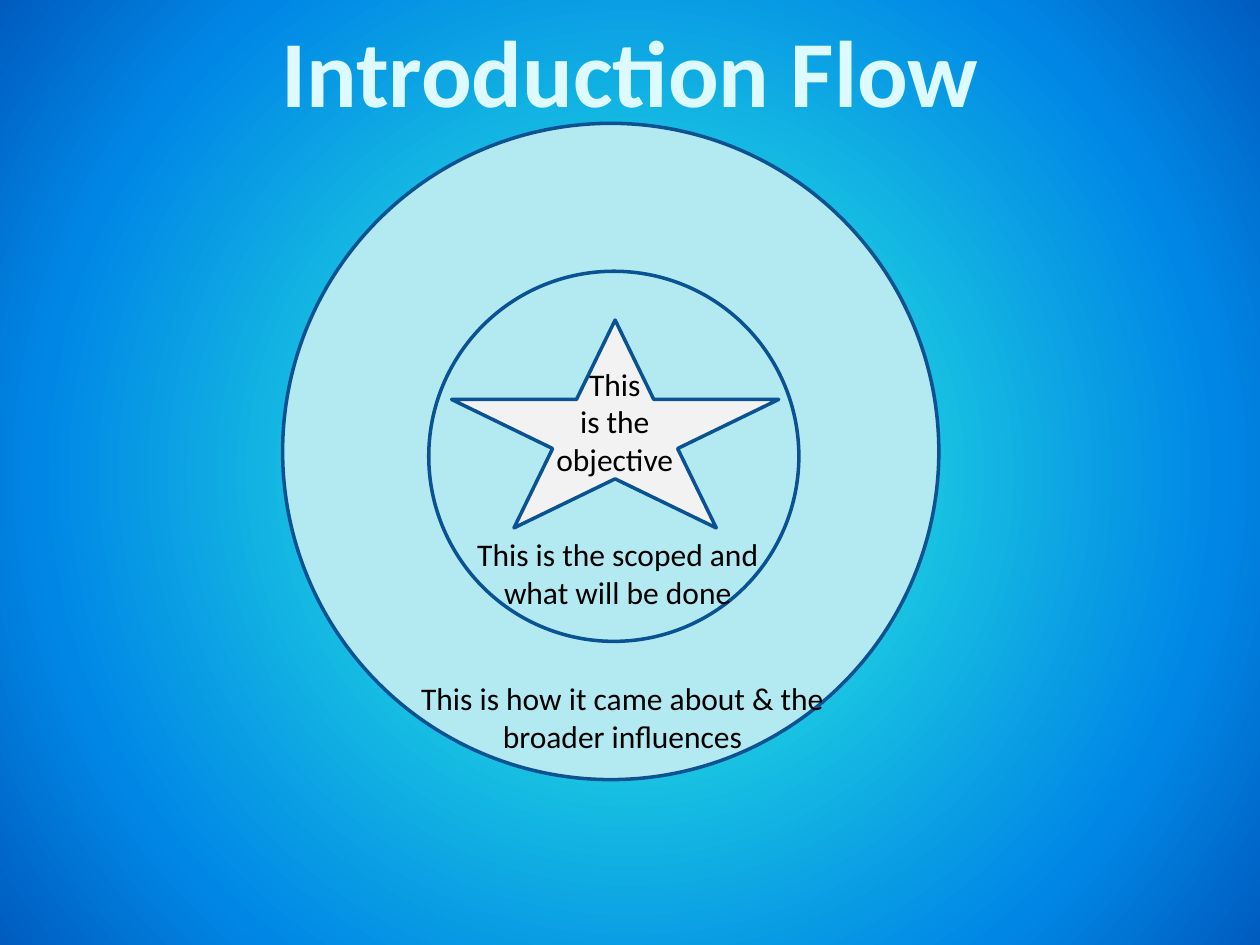
from pptx import Presentation
from pptx.dml.color import RGBColor
from pptx.enum.shapes import MSO_SHAPE
from pptx.enum.text import MSO_ANCHOR, PP_ALIGN
from pptx.oxml import parse_xml
from pptx.oxml.ns import nsdecls, qn
from pptx.util import Pt

theme = {
    "font": "Calibri",
    "title": {"size": 54, "color": "DCFAFF", "bold": True},
    "label": {"size": 18, "color": "000000", "bold": False},
    "ring": "B3EAF2",
    "star": "F2F2F2",
    "line": "0B5292",
    "backdrop": [(0, "03D4A8"), (25, "21D6E0"), (75, "0087E6"), (100, "005CBF")],
}

prs = Presentation()
prs.slide_width, prs.slide_height = Pt(720), Pt(540)
s = prs.slides.add_slide(prs.slide_layouts[5])

s.background.fill.gradient()
grad = s.element.find(".//" + qn("a:gradFill"))
stops = "".join(
    f'<a:gs pos="{pos * 1000}"><a:srgbClr val="{color}"/></a:gs>'
    for pos, color in theme["backdrop"]
)
grad.getparent().replace(grad, parse_xml(
    f'<a:gradFill {nsdecls("a")} rotWithShape="1"><a:gsLst>{stops}</a:gsLst>'
    '<a:path path="circle"><a:fillToRect l="50000" t="50000" r="50000" b="50000"/>'
    '</a:path></a:gradFill>'
))


def place(sp, box):
    for name, value in zip(("left", "top", "width", "height"), box):
        setattr(sp, name, Pt(value))


def write(tf, text, style, wrap):
    tf.text = text
    frame = {"word_wrap": wrap, "vertical_anchor": MSO_ANCHOR.TOP}
    for name, value in frame.items():
        setattr(tf, name, value)
    font = {"name": theme["font"], "size": Pt(style["size"]), "bold": style["bold"]}
    for p in tf.paragraphs:
        p.alignment = PP_ALIGN.CENTER
        for r in p.runs:
            for name, value in font.items():
                setattr(r.font, name, value)
            r.font.color.rgb = RGBColor.from_string(style["color"])


place(s.shapes.title, (151.2, 3.6, 417.6, 72.7))
write(s.shapes.title.text_frame, "Introduction Flow", theme["title"], False)

layers = [
    (MSO_SHAPE.OVAL, theme["ring"], (161.5, 70.5, 375, 375),
     "This is how it came about & the broader influences", (216.7, 384.5, 278, 51), True),
    (MSO_SHAPE.OVAL, theme["ring"], (245, 155, 211.5, 211.5),
     "This is the scoped and what will be done", (256.3, 302.2, 193.5, 51), True),
    (MSO_SHAPE.STAR_5_POINT, theme["star"], (258, 182.9, 187, 118.8),
     "This\nis the\vobjective", (310.3, 204.8, 82, 72.7), False),
]
for kind, fill, box, text, text_box, wrap in layers:
    group = s.shapes.add_group_shape()
    sp = group.shapes.add_shape(kind, *map(Pt, box))
    sp.shadow.inherit = False
    sp.fill.solid()
    sp.fill.fore_color.rgb = RGBColor.from_string(fill)
    sp.line.color.rgb = RGBColor.from_string(theme["line"])
    sp.line.width = Pt(2)
    label = group.shapes.add_textbox(*map(Pt, text_box))
    write(label.text_frame, text, theme["label"], wrap)

prs.save("out.pptx")
